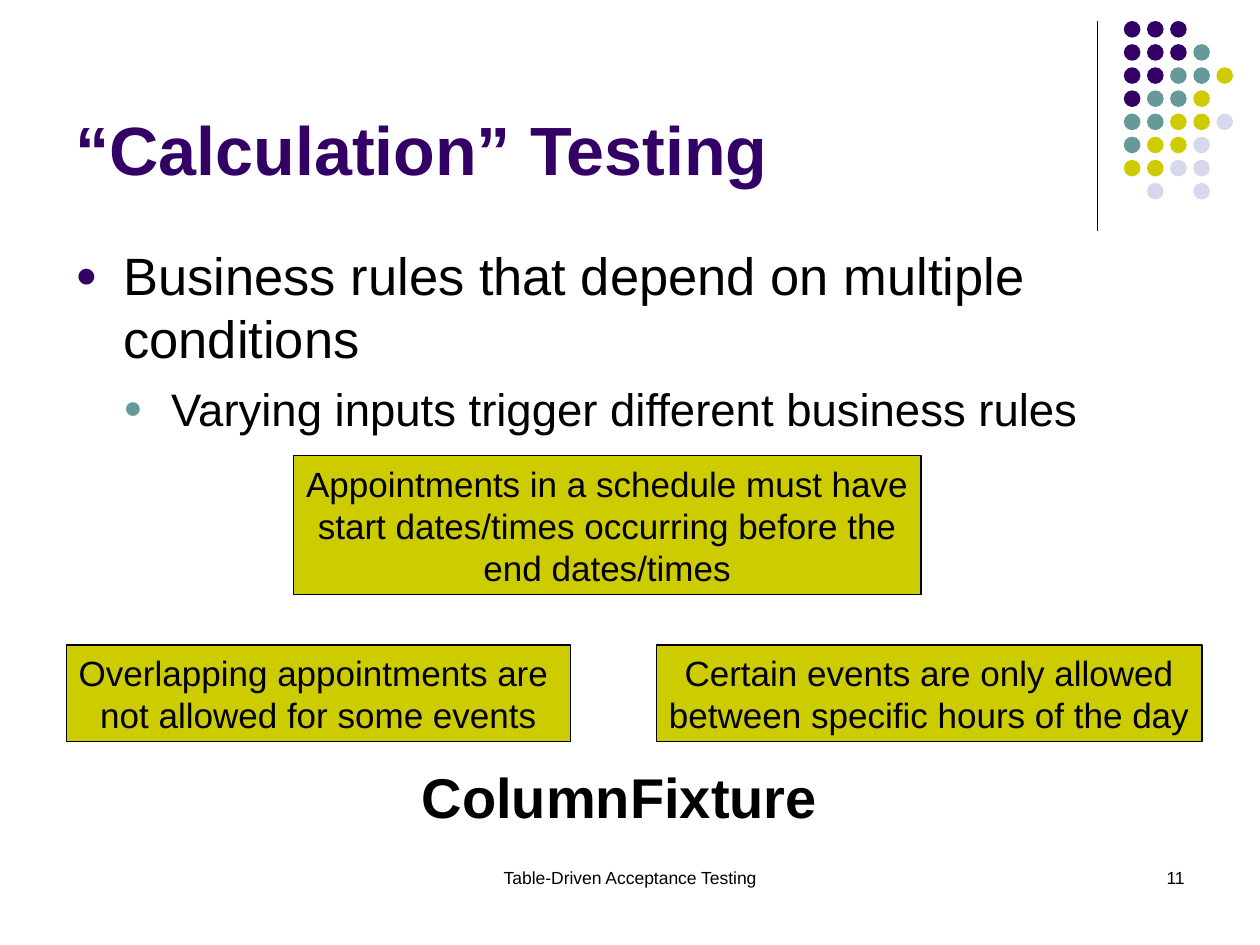
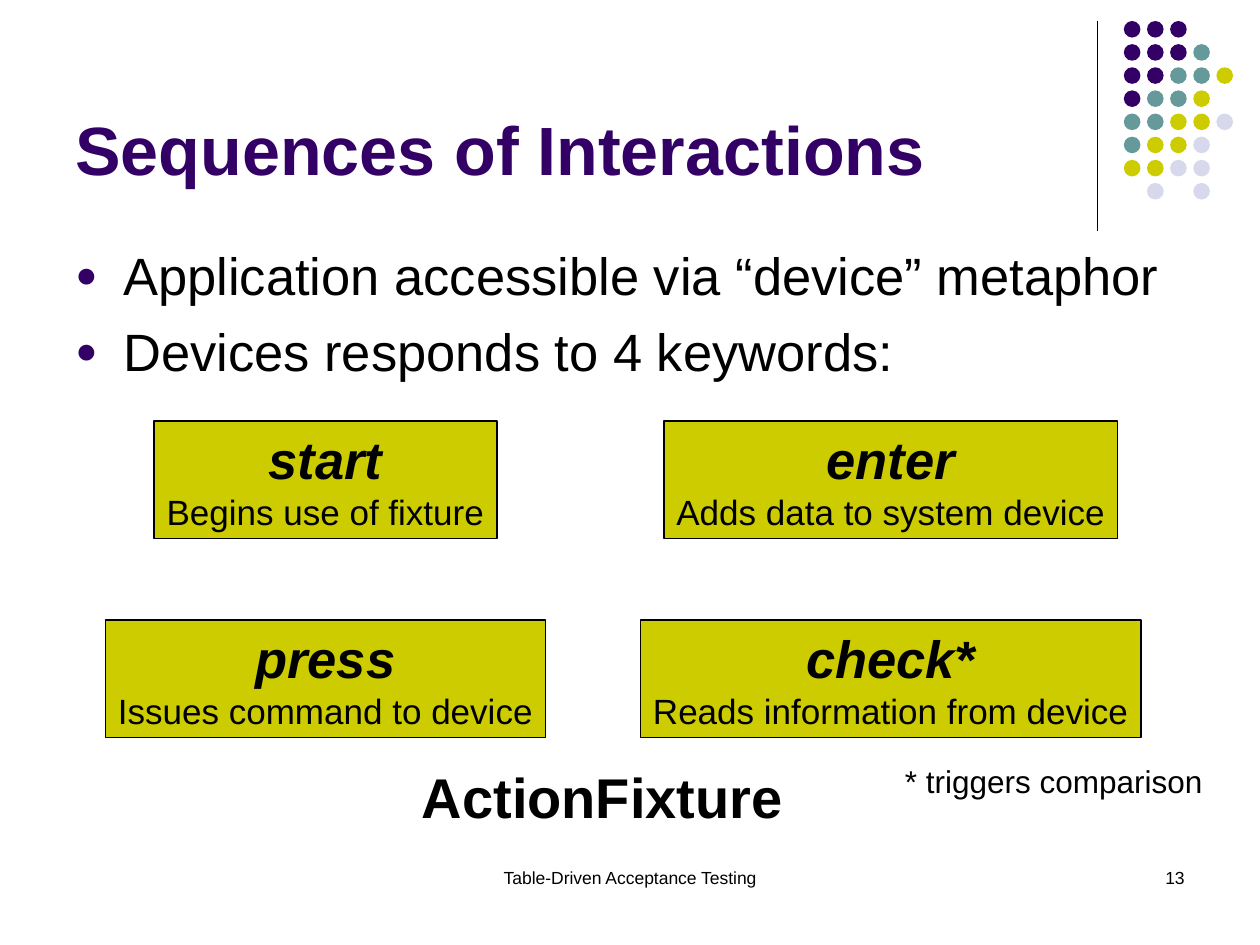
"""Build two slides on table-driven acceptance testing."""
from lxml.etree import SubElement
from pptx import Presentation
from pptx.dml.color import RGBColor
from pptx.enum.shapes import MSO_CONNECTOR, MSO_SHAPE
from pptx.enum.text import MSO_ANCHOR, PP_ALIGN
from pptx.oxml.ns import qn
from pptx.util import Pt

PURPLE, TEAL, OLIVE, LAVENDER, BLACK = "330066", "669999", "CCCC00", "D8D8EC", "000000"
FONT = "Arial"
LINE_HEIGHT = 1.2
INSET_X, INSET_Y = 7.2, 3.6

DOT_COLORS = {"P": PURPLE, "T": TEAL, "O": OLIVE, "L": LAVENDER}
DOT_ROWS = ["PPP", "PPPT", "PPTTO", "PTTO", "TTOOL", "TOOL", "OOLL", " L L"]
DOT_LEFT, DOT_TOP, DOT_PITCH, DOT_SIZE = 642.2, 12, 13.22, 9.5

BULLETS = [(30, 7.5, PURPLE), (26, 6.5, TEAL)]
BULLET_INDENT = 27.4
FOOTER = "Table-Driven Acceptance Testing"

PLAIN = {"size": 20}
KEYWORD = {"size": 30, "bold": True, "italic": True}

SLIDES = [
    {
        "title": "“Calculation” Testing",
        "number": "11",
        "bullets": [
            (0, "Business rules that depend on multiple conditions"),
            (1, "Varying inputs trigger different business rules"),
        ],
        "boxes": [
            (347, 260.5, 358.5, [
                ("Appointments in a schedule must have", PLAIN),
                ("start dates/times occurring before the", PLAIN),
                ("end dates/times", PLAIN),
            ]),
            (182, 368.5, 288, [
                ("Overlapping appointments are ", PLAIN),
                ("not allowed for some events", PLAIN),
            ]),
            (531, 368.5, 311.75, [
                ("Certain events are only allowed", PLAIN),
                ("between specific hours of the day", PLAIN),
            ]),
        ],
        "fixture": ("ColumnFixture", 240.5),
        "note": None,
    },
    {
        "title": "Sequences of Interactions",
        "number": "13",
        "bullets": [
            (0, "Application accessible via “device” metaphor"),
            (0, "Devices responds to 4 keywords:"),
        ],
        "boxes": [
            (186, 240.5, 196, [("start", KEYWORD), ("Begins use of fixture", PLAIN)]),
            (509, 240.5, 259, [("enter", KEYWORD), ("Adds data to system device", PLAIN)]),
            (186, 354.25, 251.5, [("press", KEYWORD), ("Issues command to device", PLAIN)]),
            (509, 354.25, 286, [("check*", KEYWORD), ("Reads information from device", PLAIN)]),
        ],
        "fixture": ("ActionFixture", 221),
        "note": "* triggers comparison",
    },
]


def rgb(color):
    return RGBColor.from_string(color)


def prepare_frame(shape, anchor=MSO_ANCHOR.TOP, wrap=True):
    frame = shape.text_frame
    frame.margin_left = frame.margin_right = Pt(INSET_X)
    frame.margin_top = frame.margin_bottom = Pt(INSET_Y)
    frame.vertical_anchor = anchor
    frame.word_wrap = wrap
    return frame


def write_paragraph(frame, index, text, size, color=BLACK, bold=False, italic=False,
                    align=PP_ALIGN.LEFT):
    paragraph = frame.add_paragraph() if index else frame.paragraphs[0]
    paragraph.alignment = align
    paragraph.line_spacing = Pt(size * LINE_HEIGHT)
    run = paragraph.add_run()
    run.text = text
    run.font.name = FONT
    run.font.size = Pt(size)
    run.font.bold = bold
    run.font.italic = italic
    run.font.color.rgb = rgb(color)
    return paragraph


def add_text(slide, left, top, width, height, text, size, anchor=MSO_ANCHOR.TOP, wrap=True,
             **style):
    shape = slide.shapes.add_textbox(Pt(left), Pt(top), Pt(width), Pt(height))
    write_paragraph(prepare_frame(shape, anchor, wrap), 0, text, size, **style)


def set_bullet(paragraph, level, color):
    properties = paragraph._p.get_or_add_pPr()
    properties.set("marL", str(Pt(BULLET_INDENT * (level + 1))))
    properties.set("indent", str(-Pt(BULLET_INDENT)))
    SubElement(SubElement(properties, qn("a:buClr")), qn("a:srgbClr")).set("val", color)
    SubElement(properties, qn("a:buSzPct")).set("val", "70000")
    SubElement(properties, qn("a:buFont")).set("typeface", FONT)
    SubElement(properties, qn("a:buChar")).set("char", "●")


def add_bullets(slide, bullets):
    shape = slide.shapes.add_textbox(Pt(36), Pt(135.4), Pt(648), Pt(347))
    frame = prepare_frame(shape)
    for index, (level, text) in enumerate(bullets):
        size, space, color = BULLETS[level]
        paragraph = write_paragraph(frame, index, text, size)
        paragraph.level = level
        paragraph.space_before = Pt(space)
        set_bullet(paragraph, level, color)


def add_filled_shape(slide, kind, left, top, width, height, color):
    shape = slide.shapes.add_shape(kind, Pt(left), Pt(top), Pt(width), Pt(height))
    shape.shadow.inherit = False
    shape.fill.solid()
    shape.fill.fore_color.rgb = rgb(color)
    shape.line.fill.background()
    return shape


def add_box(slide, center, top, width, lines):
    height = 2 * INSET_Y + sum(style["size"] for _, style in lines) * LINE_HEIGHT
    shape = add_filled_shape(slide, MSO_SHAPE.RECTANGLE, center - width / 2, top, width, height,
                             OLIVE)
    shape.line.color.rgb = rgb(BLACK)
    shape.line.width = Pt(0.75)
    frame = prepare_frame(shape, MSO_ANCHOR.MIDDLE, wrap=False)
    for index, (text, style) in enumerate(lines):
        write_paragraph(frame, index, text, align=PP_ALIGN.CENTER, **style)


def add_decoration(slide):
    rule = slide.shapes.add_connector(MSO_CONNECTOR.STRAIGHT, Pt(627), Pt(12), Pt(627), Pt(132))
    rule.line.color.rgb = rgb(BLACK)
    rule.line.width = Pt(0.75)
    SubElement(rule._element.spPr, qn("a:effectLst"))
    for row, codes in enumerate(DOT_ROWS):
        for column, code in enumerate(codes):
            if code in DOT_COLORS:
                add_filled_shape(slide, MSO_SHAPE.OVAL, DOT_LEFT + column * DOT_PITCH,
                                 DOT_TOP + row * DOT_PITCH, DOT_SIZE, DOT_SIZE,
                                 DOT_COLORS[code])


def build_slide(presentation, content):
    slide = presentation.slides.add_slide(presentation.slide_layouts[6])
    add_decoration(slide)
    add_text(slide, 36, 9.5, 594, 102, content["title"], 39, MSO_ANCHOR.BOTTOM,
             color=PURPLE, bold=True)
    add_bullets(slide, content["bullets"])
    for box in content["boxes"]:
        add_box(slide, *box)
    if content["note"]:
        add_text(slide, 510, 432, 184.5, 29, content["note"], 18, wrap=False)
    fixture, width = content["fixture"]
    add_text(slide, 234, 432, width, 46, fixture, 32, wrap=False, bold=True)
    add_text(slide, 246, 492, 228, 36, FOOTER, 10, align=PP_ALIGN.CENTER)
    add_text(slide, 516, 492, 168, 36, content["number"], 10, align=PP_ALIGN.RIGHT)


def main():
    presentation = Presentation()
    presentation.slide_width, presentation.slide_height = Pt(720), Pt(540)
    for content in SLIDES:
        build_slide(presentation, content)
    presentation.save("out.pptx")


if __name__ == "__main__":
    main()
